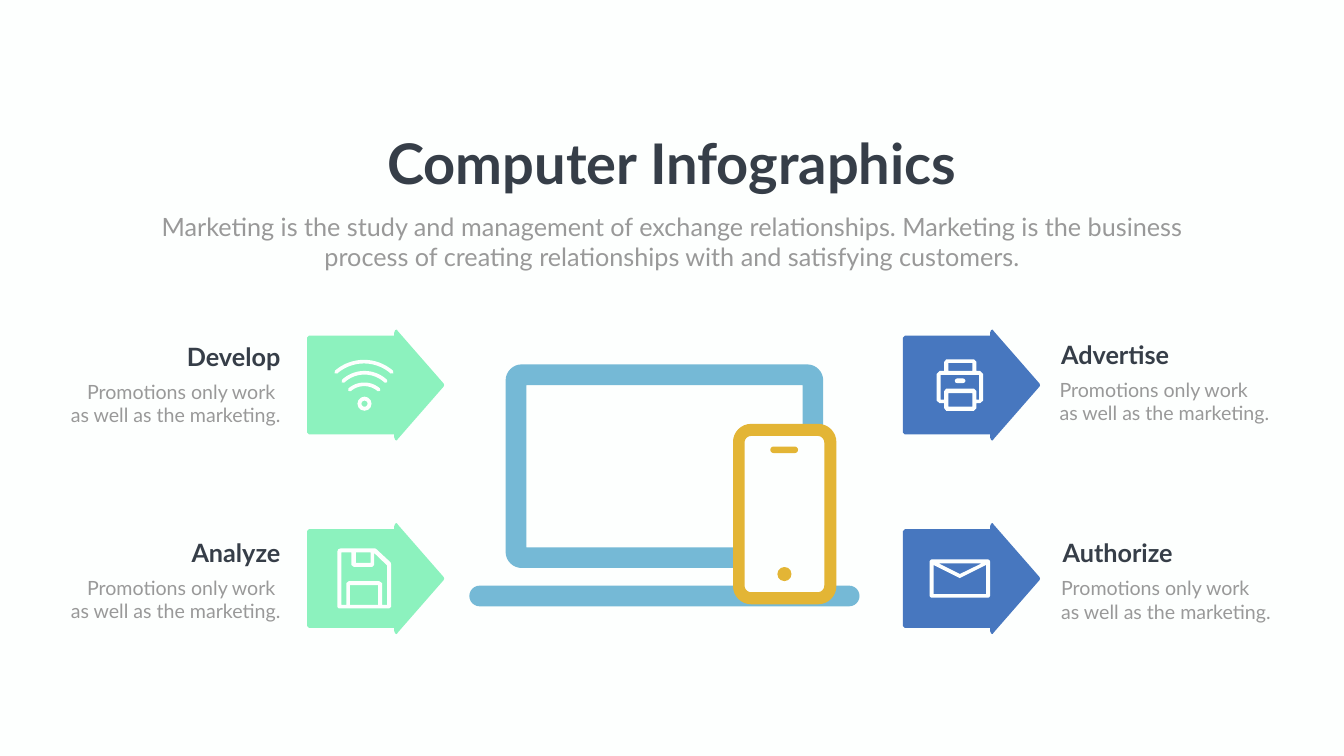
from dataclasses import dataclass
from math import asin, cos, pi, sin

from pptx import Presentation
from pptx.dml.color import RGBColor
from pptx.enum.shapes import MSO_SHAPE
from pptx.enum.text import MSO_ANCHOR, MSO_AUTO_SIZE, PP_ALIGN
from pptx.oxml.ns import qn
from pptx.util import Inches, Pt

PAPER = RGBColor(0xFD, 0xFF, 0xFE)
INK = RGBColor(0x36, 0x3E, 0x48)
GRAY = RGBColor(0x99, 0x99, 0x99)
MINT = RGBColor(0x8C, 0xF2, 0xBE)
BLUE = RGBColor(0x47, 0x77, 0xBF)
SKY = RGBColor(0x75, 0xB9, 0xD6)
GOLD = RGBColor(0xE3, 0xB5, 0x35)

LEFT, CENTER, RIGHT = PP_ALIGN.LEFT, PP_ALIGN.CENTER, PP_ALIGN.RIGHT
RECTANGLE, PILL = MSO_SHAPE.RECTANGLE, MSO_SHAPE.ROUNDED_RECTANGLE
OVAL, DONUT = MSO_SHAPE.OVAL, MSO_SHAPE.DONUT

FONT = "Lato"
CELL = Inches(0.01)  # the slide is a grid of 2666 columns by 1500 rows
COLUMNS, ROWS = 2666, 1500


@dataclass
class Box:
    """A region whose contents are placed in cells from its top left corner."""
    left: float
    top: float

    def inner(self, x, y):
        return Box(self.left + x, self.top + y)

    def point(self, x, y):
        return round((self.left + x) * CELL), round((self.top + y) * CELL)

    def frame(self, x, y, width, height):
        return *self.point(x, y), round(width * CELL), round(height * CELL)


def paint(shape, color):
    shape.shadow.inherit = False
    shape.fill.solid()
    shape.fill.fore_color.rgb = color
    shape.line.fill.background()


def add_preset(page, box, kind, cells, color, adjustment=None):
    shape = page.shapes.add_shape(kind, *box.frame(*cells))
    if adjustment is not None:
        shape.adjustments[0] = adjustment
    paint(shape, color)


def build_outline(page, box, contours, close=True):
    """Build one freeform; contours after the first are its holes."""
    builder = None
    for contour in contours:
        start, *rest = [box.point(x, y) for x, y in contour]
        if builder is None:
            builder = page.shapes.build_freeform(*start, scale=1.0)
        else:
            builder.move_to(*start)
        builder.add_line_segments(rest, close=close)
    return builder.convert_to_shape()


def add_outline(page, box, color, *contours):
    paint(build_outline(page, box, contours), color)


def rectangle(x, y, width, height):
    return [(x, y), (x + width, y), (x + width, y + height), (x, y + height)]


def rounded(x, y, width, height, radius, steps=8):
    """Points of a rectangle with round corners, clockwise from the left."""
    centers = rectangle(x + radius, y + radius, width - 2 * radius, height - 2 * radius)
    points = []
    for corner, (center_x, center_y) in enumerate(centers):
        for step in range(steps + 1):
            angle = pi + (corner + step / steps) * pi / 2
            points.append((center_x + radius * cos(angle), center_y + radius * sin(angle)))
    return points


def write(frame, lines, size, color, align, bold=False, wrap=True):
    frame.word_wrap = wrap
    frame.auto_size = MSO_AUTO_SIZE.NONE
    frame.vertical_anchor = MSO_ANCHOR.TOP
    for index, line in enumerate(lines):
        para = frame.add_paragraph() if index else frame.paragraphs[0]
        para.alignment = align
        span = para.add_run()
        span.text = line
        span.font.name, span.font.size, span.font.bold = FONT, Pt(size), bold
        span.font.color.rgb = color


def add_text(page, box, cells, *style, **options):
    write(page.shapes.add_textbox(*box.frame(*cells)).text_frame, *style, **options)


def add_wave(page, box, x, y, width, height, stroke=7.2, steps=24):
    """A round-capped arc that fills the given cells."""
    half, rise = (width - stroke) / 2, height - stroke
    radius = (half ** 2 + rise ** 2) / (2 * rise)
    sweep = asin(half / radius)
    angles = [sweep * (2 * step / steps - 1) for step in range(steps + 1)]
    arc = [(x + width / 2 + radius * sin(angle),
            y + stroke / 2 + radius * (1 - cos(angle))) for angle in angles]
    wave = build_outline(page, box, [arc], close=False)
    wave.shadow.inherit = False
    wave.fill.background()
    wave.line.color.rgb = PAPER
    wave.line.width = round(stroke * CELL)
    wave._element.spPr.find(qn("a:ln")).set("cap", "rnd")


def draw_wifi(page, arrow):
    box = arrow.inner(54, 60)
    for cells in ((0, 0, 118, 28), (14, 22, 92, 24), (27, 45, 65, 18)):
        add_wave(page, box, *cells)
    add_preset(page, box, DONUT, (46, 73, 28, 28), PAPER, 0.28)


def draw_printer(page, arrow):
    box = arrow.inner(67, 59)
    case = [(86, 23), (79, 23), (79, 5), (74, 0), (19, 0), (15, 5), (15, 23),
            (6, 23), (0, 29), (0, 82), (6, 87), (15, 87), (15, 97), (19, 102),
            (74, 102), (79, 97), (79, 87), (86, 87), (92, 82), (92, 29)]
    front = [(84, 80), (79, 80), (79, 63), (74, 58), (19, 58), (15, 63),
             (15, 80), (8, 80), (8, 31), (84, 31)]
    add_outline(page, box, PAPER, case, front,
                rectangle(23, 7, 48, 16), rectangle(23, 67, 48, 27))
    add_preset(page, box, PILL, (36, 38, 21, 9), PAPER, 0.5)


def draw_disk(page, arrow):
    case = [(0, 7), (2, 2), (7, 0), (74, 0), (77, 1), (106, 28), (107, 33),
            (107, 116), (103, 119), (3, 119), (0, 116)]
    inside = [(99, 112), (89, 112), (89, 69), (83, 65), (23, 65), (18, 69),
              (18, 112), (8, 112), (8, 8), (28, 8), (28, 33), (33, 37),
              (69, 37), (73, 33), (73, 9), (99, 34)]
    add_outline(page, arrow.inner(60, 50), PAPER, case, inside,
                rectangle(37, 8, 29, 21), rectangle(25, 73, 56, 39))


def draw_envelope(page, arrow):
    flap = [(60, 29), (18, 8), (103, 8)]
    pocket = [(8, 69), (8, 11), (58, 36), (60, 37), (62, 36), (112, 11), (112, 69)]
    add_outline(page, arrow.inner(53, 72), PAPER, rounded(0, 0, 120, 76, 5), flap, pocket)


def add_callout(page, box, color, draw_icon, heading, align, text_x, text_y):
    """An arrow with its icon, and the heading and text beside it."""
    upper = [(0, 16), (4, 12), (173, 12), (173, 6), (175, 1), (178, 0), (181, 4),
             (271, 107), (272, 110)]
    lower = [(x, 220 - y) for x, y in reversed(upper[:-1])]
    add_outline(page, box, color, upper + lower)
    draw_icon(page, box)
    first = "Promotions only work " if align == RIGHT else "Promotions only work"
    body_x = text_x - (237 if align == RIGHT else 3)
    add_text(page, box, (text_x, text_y, 261, 71), [heading], 36, INK, align, bold=True)
    add_text(page, box, (body_x, text_y + 76, 498, 104),
             [first, "as well as the marketing."], 28, GRAY, align)


def add_laptop(page, box):
    add_outline(page, box, SKY, rounded(72, 0, 630, 404, 32), rectangle(113, 41, 548, 322))
    add_preset(page, box, PILL, (0, 439, 774, 41), SKY, 0.5)


def add_phone(page, box):
    add_preset(page, box, RECTANGLE, (11, 17, 177, 318), PAPER)
    add_outline(page, box, GOLD, rounded(0, 0, 205, 358, 36), rounded(23, 24, 158, 310, 13))
    add_preset(page, box, OVAL, (88, 284, 28, 28), GOLD)
    add_preset(page, box, PILL, (74, 45, 55, 13), GOLD, 0.5)


def add_header(page, box):
    title = page.shapes.title
    title.left, title.top, title.width, title.height = box.frame(477, 0, 1176, 145)
    write(title.text_frame, ["Computer Infographics"], 80, INK, CENTER, bold=True, wrap=False)
    add_text(page, box, (0, 165, 2130, 131),
             ["Marketing is the study and management of exchange relationships. "
              "Marketing is the business process of creating relationships with "
              "and satisfying customers."], 36, GRAY, CENTER)


def main():
    deck = Presentation()
    deck.slide_width, deck.slide_height = COLUMNS * CELL, ROWS * CELL
    page = deck.slides.add_slide(deck.slide_layouts[5])
    page.background.fill.solid()
    page.background.fill.fore_color.rgb = PAPER

    add_header(page, Box(268, 249))
    first, second = 654, 1038
    add_callout(page, Box(609, first), MINT, draw_wifi, "Develop", RIGHT, -304, 18)
    add_callout(page, Box(1791, first), BLUE, draw_printer, "Advertise", LEFT, 304, 14)
    add_callout(page, Box(1791, second), BLUE, draw_envelope, "Authorize", LEFT, 307, 24)
    add_callout(page, Box(609, second), MINT, draw_disk, "Analyze", RIGHT, -304, 23)
    add_laptop(page, Box(931, 723))
    add_phone(page, Box(1454, 841))
    deck.save("out.pptx")


if __name__ == "__main__":
    main()
